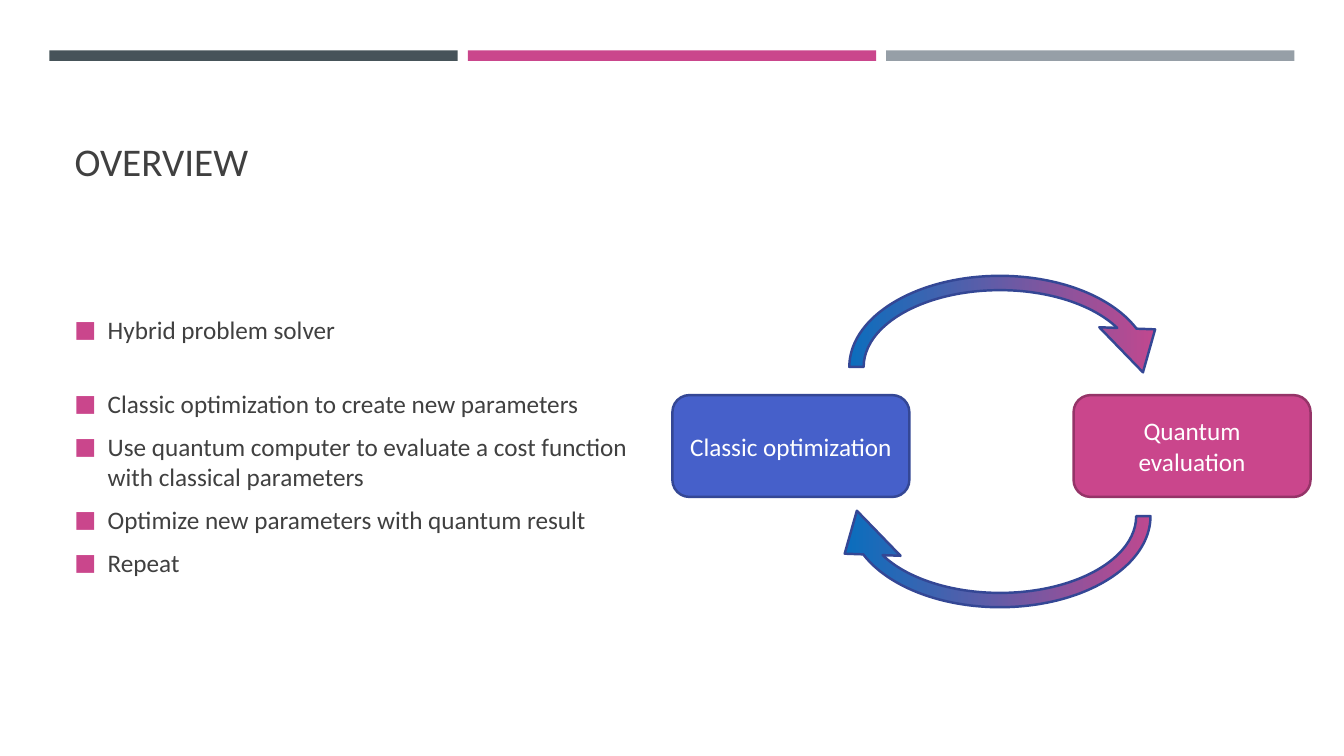
from dataclasses import dataclass

from lxml import etree
from pptx import Presentation
from pptx.dml.color import RGBColor
from pptx.enum.shapes import MSO_SHAPE
from pptx.enum.text import MSO_ANCHOR, PP_ALIGN
from pptx.oxml.ns import qn
from pptx.util import Inches, Pt

RECT = MSO_SHAPE.RECTANGLE
ROUNDED = MSO_SHAPE.ROUNDED_RECTANGLE
CIRCULAR_ARROW = MSO_SHAPE.CIRCULAR_ARROW
TOP, MIDDLE, BOTTOM = MSO_ANCHOR.TOP, MSO_ANCHOR.MIDDLE, MSO_ANCHOR.BOTTOM
LEFT, CENTER = PP_ALIGN.LEFT, PP_ALIGN.CENTER

SLIDE_W, SLIDE_H = Inches(13.333), Inches(7.5)
FONT = "Calibri"
INK, WHITE = "404040", "FFFFFF"
PINK, BLUE, NAVY = "CA468C", "0070C0", "344795"
LINE_WIDTH = 1.75

BAR_LEFT, BAR_WIDTH, BAR_GAP = 3.68, 30.38, 0.75
BAR_COLORS = ("465359", PINK, "969FA7")
ARROW_ADJUSTMENTS = (0.064, 11.423, 205.884, 108, 0.125)


@dataclass(frozen=True)
class Area:
    """Percent of the slide's width and height."""
    x: float
    y: float
    w: float
    h: float

    def emu(self) -> tuple[int, int, int, int]:
        return (int(SLIDE_W * self.x / 100), int(SLIDE_H * self.y / 100),
                int(SLIDE_W * self.w / 100), int(SLIDE_H * self.h / 100))


@dataclass(frozen=True)
class Step:
    label: str
    x: float
    fill: str
    line: str


@dataclass(frozen=True)
class Arrow:
    y: float
    rotation: int
    colors: tuple[str, str]


@dataclass(frozen=True)
class Bullet:
    text: str
    space_after: int = 6


TITLE_AREA = Area(4.8, 10.67, 90.45, 14.4)
BODY_AREA = Area(4.8, 32.53, 42.6, 52.93)

BULLETS = (
    Bullet("Hybrid problem solver", 28),
    Bullet("Classic optimization to create new parameters"),
    Bullet("Use quantum computer to evaluate a cost function with classical parameters"),
    Bullet("Optimize new parameters with quantum result"),
    Bullet("Repeat"),
)
STEPS = (
    Step("Classic optimization", 50.03, "4660CA", NAVY),
    Step("Quantum evaluation", 79.88, PINK, "953468"),
)
ARROWS = (
    Arrow(33.73, 0, (BLUE, PINK)),
    Arrow(53.47, 180, (PINK, BLUE)),
)


def rgb(value: str) -> RGBColor:
    return RGBColor.from_string(value)


def set_all(target, values: dict) -> None:
    for name, value in values.items():
        setattr(target, name, value)


def write(p, text: str, size: int, color: str, **paragraph_format) -> None:
    set_all(p, paragraph_format)
    r = p.add_run()
    r.text = text
    set_all(r.font, {"name": FONT, "size": Pt(size)})
    r.font.color.rgb = rgb(color)


def add_shape(slide, kind, area: Area, line: str = ""):
    sp = slide.shapes.add_shape(kind, *area.emu())
    sp.shadow.inherit = False
    if line:
        sp.line.color.rgb = rgb(line)
        sp.line.width = Pt(LINE_WIDTH)
    else:
        sp.line.fill.background()
    return sp


def fill_solid(sp, color: str) -> None:
    sp.fill.solid()
    sp.fill.fore_color.rgb = rgb(color)


def add_bars(slide) -> None:
    for i, color in enumerate(BAR_COLORS):
        x = BAR_LEFT + i * (BAR_WIDTH + BAR_GAP)
        fill_solid(add_shape(slide, RECT, Area(x, 6.67, BAR_WIDTH, 1.4)), color)


def add_title(slide) -> None:
    sp = slide.shapes.title
    set_all(sp, dict(zip(("left", "top", "width", "height"), TITLE_AREA.emu())))
    tf = sp.text_frame
    set_all(tf, {"vertical_anchor": BOTTOM, "word_wrap": True})
    write(tf.paragraphs[0], "OVERVIEW", 28, INK, alignment=LEFT)


def add_marker(p) -> None:
    pPr = p._p.get_or_add_pPr()
    indent = Inches(0.33)
    pPr.set("marL", str(indent))
    pPr.set("indent", str(-indent))
    color = etree.SubElement(pPr, qn("a:buClr"))
    etree.SubElement(color, qn("a:srgbClr"), val=PINK)
    etree.SubElement(pPr, qn("a:buSzPct"), val="92000")
    etree.SubElement(pPr, qn("a:buFont"), typeface=FONT)
    etree.SubElement(pPr, qn("a:buChar"), char="■")


def add_bullets(slide) -> None:
    tf = slide.shapes.add_textbox(*BODY_AREA.emu()).text_frame
    set_all(tf, {"vertical_anchor": MIDDLE, "word_wrap": True})
    for i, bullet in enumerate(BULLETS):
        p = tf.add_paragraph() if i else tf.paragraphs[0]
        write(p, bullet.text, 18, INK, alignment=LEFT,
              space_before=Pt(3), space_after=Pt(bullet.space_after))
        add_marker(p)


def add_step(slide, step: Step) -> None:
    sp = add_shape(slide, ROUNDED, Area(step.x, 52.27, 17.63, 13.47), step.line)
    fill_solid(sp, step.fill)
    tf = sp.text_frame
    set_all(tf, {"vertical_anchor": MIDDLE, "word_wrap": True})
    write(tf.paragraphs[0], step.label, 18, WHITE, alignment=CENTER)


def add_arrow(slide, arrow: Arrow) -> None:
    sp = add_shape(slide, CIRCULAR_ARROW, Area(61.65, arrow.y, 25.5, 29.6), NAVY)
    sp.rotation = arrow.rotation
    for i, value in enumerate(ARROW_ADJUSTMENTS):
        sp.adjustments[i] = value
    sp.fill.gradient()
    sp.fill.gradient_angle = 0
    for stop, color in zip(sp.fill.gradient_stops, arrow.colors):
        stop.color.rgb = rgb(color)


def main() -> None:
    prs = Presentation()
    set_all(prs, {"slide_width": SLIDE_W, "slide_height": SLIDE_H})
    slide = prs.slides.add_slide(prs.slide_layouts[5])
    add_bars(slide)
    add_title(slide)
    add_bullets(slide)
    for step in STEPS:
        add_step(slide, step)
    for arrow in ARROWS:
        add_arrow(slide, arrow)
    prs.save("out.pptx")


if __name__ == "__main__":
    main()
